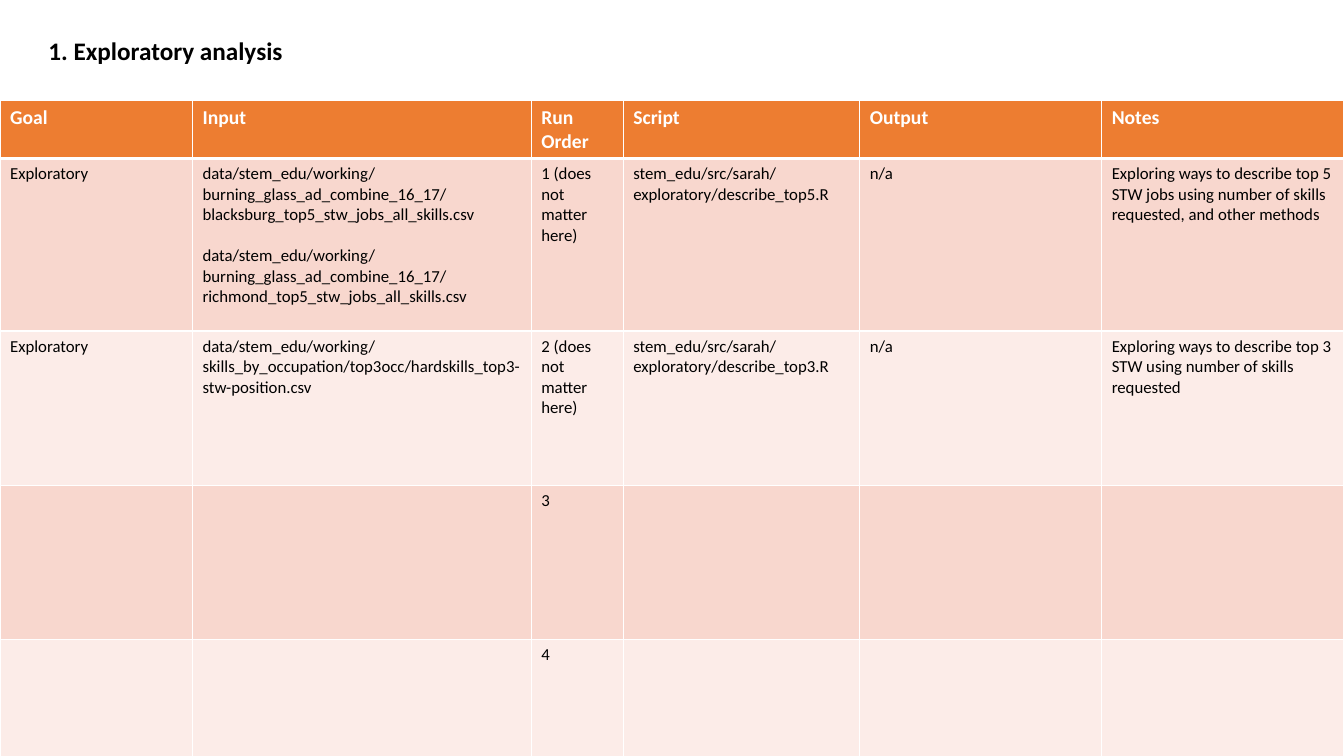
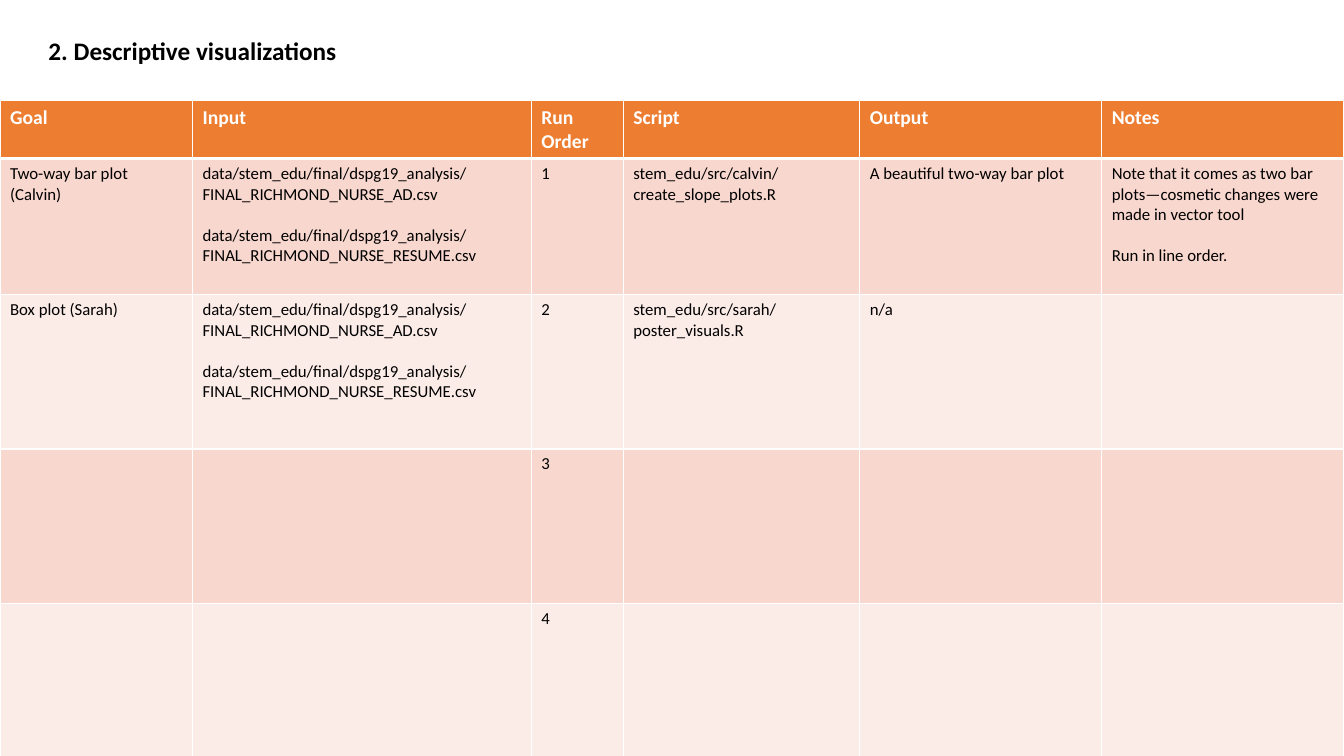
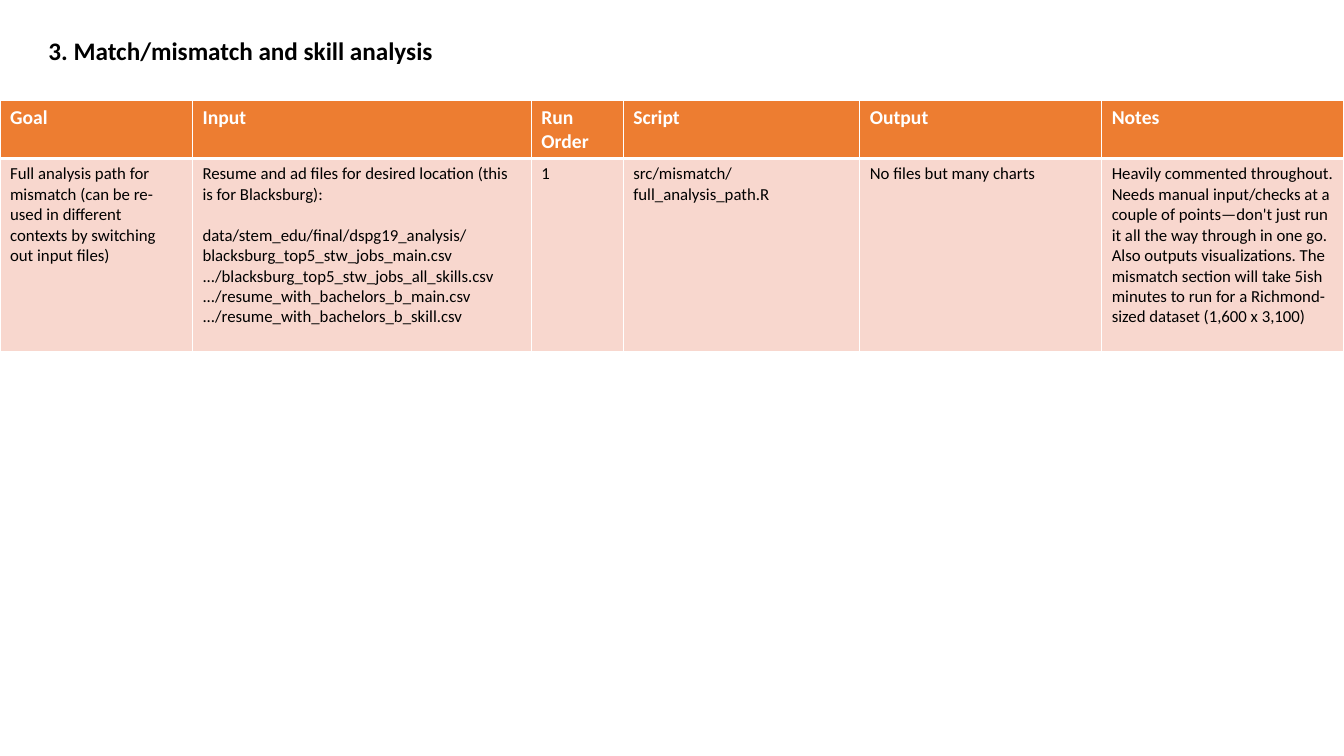
from dataclasses import dataclass

from lxml.etree import SubElement
from pptx import Presentation
from pptx.dml.color import RGBColor
from pptx.enum.text import MSO_ANCHOR, MSO_AUTO_SIZE, PP_ALIGN
from pptx.oxml.ns import qn
from pptx.util import Pt

WHITE = RGBColor(0xFF, 0xFF, 0xFF)
BLACK = RGBColor(0, 0, 0)
ORANGE = RGBColor(0xED, 0x7D, 0x31)
PEACH = RGBColor(0xF8, 0xD7, 0xCE)
PALE_PEACH = RGBColor(0xFC, 0xEC, 0xE8)
BANDS = (PEACH, PALE_PEACH)

FONT = "Calibri"
SLIDE_WIDTH, SLIDE_HEIGHT = Pt(960), Pt(540)
TABLE_TOP = Pt(72)
HEADER_HEIGHT = 40
LATER_HEIGHTS = (110.16, 110.16, 127.44)
BLOCK_GAP = Pt(14.65)
THIN, THICK = Pt(1), Pt(3)

HEADINGS = ("Goal", "Input", "Run Order", "Script", "Output", "Notes")
COLUMN_WIDTHS = (137.5, 242, 65.7, 169, 172.8, 173)

NURSE_FILES = (
    "data/stem_edu/final/dspg19_analysis/FINAL_RICHMOND_NURSE_AD.csv\n\n"
    "data/stem_edu/final/dspg19_analysis/FINAL_RICHMOND_NURSE_RESUME.csv"
)


@dataclass(frozen=True)
class Step:
    goal: str = ""
    input: str = ""
    order: str = ""
    script: str = ""
    output: str = ""
    notes: str = ""

    def texts(self) -> tuple[str, ...]:
        return (self.goal, self.input, self.order, self.script, self.output, self.notes)


@dataclass(frozen=True)
class Stage:
    title: str
    first_height: float
    steps: tuple[Step, ...]


UNUSED_STEPS = (Step(order="3"), Step(order="4"))

STAGES = (
    Stage("1. Exploratory analysis", 123.2, (
        Step(
            "Exploratory",
            "data/stem_edu/working/burning_glass_ad_combine_16_17/"
            "blacksburg_top5_stw_jobs_all_skills.csv\n\n"
            "data/stem_edu/working/burning_glass_ad_combine_16_17/"
            "richmond_top5_stw_jobs_all_skills.csv",
            "1 (does not matter here)",
            "stem_edu/src/sarah/exploratory/describe_top5.R",
            "n/a",
            "Exploring ways to describe top 5 STW jobs using number of skills "
            "requested, and other methods",
        ),
        Step(
            "Exploratory",
            "data/stem_edu/working/skills_by_occupation/top3occ/"
            "hardskills_top3-stw-position.csv",
            "2 (does not matter here)",
            "stem_edu/src/sarah/exploratory/describe_top3.R",
            "n/a",
            "Exploring ways to describe top 3 STW using number of skills requested",
        ),
        *UNUSED_STEPS,
    )),
    Stage("2. Descriptive visualizations", 97.2, (
        Step(
            "Two-way bar plot (Calvin)",
            NURSE_FILES,
            "1",
            "stem_edu/src/calvin/create_slope_plots.R",
            "A beautiful two-way bar plot",
            "Note that it comes as two bar plots—cosmetic changes were made in "
            "vector tool\n\nRun in line order.",
        ),
        Step(
            "Box plot (Sarah)",
            NURSE_FILES,
            "2",
            "stem_edu/src/sarah/poster_visuals.R",
            "n/a",
        ),
        *UNUSED_STEPS,
    )),
    Stage("3. Match/mismatch and skill analysis", 137.6, (
        Step(
            "Full analysis path for mismatch (can be re-used in different contexts "
            "by switching out input files)",
            "Resume and ad files for desired location (this is for Blacksburg):\n\n"
            "data/stem_edu/final/dspg19_analysis/blacksburg_top5_stw_jobs_main.csv\n"
            ".../blacksburg_top5_stw_jobs_all_skills.csv\n"
            ".../resume_with_bachelors_b_main.csv\n"
            ".../resume_with_bachelors_b_skill.csv",
            "1",
            "src/mismatch/full_analysis_path.R",
            "No files but many charts",
            "Heavily commented throughout. Needs manual input/checks at a couple of "
            "points—don't just run it all the way through in one go. Also outputs "
            "visualizations. The mismatch section will take 5ish minutes to run for "
            "a Richmond-sized dataset (1,600 x 3,100)",
        ),
    )),
)


def style_font(font, size: float, color: RGBColor, bold: bool) -> None:
    font.name = FONT
    font.size = Pt(size)
    font.bold = bold
    font.color.rgb = color


def set_borders(cell, top: int, bottom: int) -> None:
    properties = cell._tc.get_or_add_tcPr()
    edges = (("a:lnL", THIN), ("a:lnR", THIN), ("a:lnT", top), ("a:lnB", bottom))
    for position, (tag, width) in enumerate(edges):
        line = SubElement(properties, qn(tag), w=str(int(width)))
        SubElement(SubElement(line, qn("a:solidFill")), qn("a:srgbClr"), val=str(WHITE))
        properties.insert(position, line)


def write_cell(cell, text: str, size: float, color: RGBColor, bold: bool) -> None:
    blocks = [block.split("\n") for block in text.split("\n\n")]
    cell.text_frame.text = "\n".join(line for block in blocks for line in block)
    paragraphs = cell.text_frame.paragraphs
    for paragraph in paragraphs:
        style_font(paragraph.font, size, color, bold)
        for run in paragraph.runs:
            style_font(run.font, size, color, bold)
    start = 0
    for block in blocks[:-1]:
        start += len(block)
        paragraphs[start].space_before = BLOCK_GAP


def add_title(slide, text: str) -> None:
    title = slide.shapes.title
    title.left, title.top, title.width, title.height = Pt(27.4), Pt(21.6), Pt(905.8), Pt(29)
    frame = title.text_frame
    frame.text = text
    frame.word_wrap = True
    frame.auto_size = MSO_AUTO_SIZE.NONE
    frame.vertical_anchor = MSO_ANCHOR.TOP
    paragraph = frame.paragraphs[0]
    paragraph.alignment = PP_ALIGN.LEFT
    style_font(paragraph.runs[0].font, 18, BLACK, True)


def add_steps_table(slide, stage: Stage) -> None:
    body_heights = (stage.first_height, *LATER_HEIGHTS)[:len(stage.steps)]
    heights = (HEADER_HEIGHT, *body_heights)
    table = slide.shapes.add_table(
        len(heights), len(HEADINGS), 0, TABLE_TOP, SLIDE_WIDTH, Pt(sum(heights))
    ).table
    table.horz_banding = False
    for column, width in zip(table.columns, COLUMN_WIDTHS):
        column.width = Pt(width)
    rows = (HEADINGS, *(step.texts() for step in stage.steps))
    for index, (row, height, texts) in enumerate(zip(table.rows, heights, rows)):
        row.height = Pt(height)
        is_header = index == 0
        for cell, text in zip(row.cells, texts):
            cell.fill.solid()
            cell.fill.fore_color.rgb = ORANGE if is_header else BANDS[(index - 1) % 2]
            set_borders(cell, THICK if index == 1 else THIN, THICK if is_header else THIN)
            if is_header:
                write_cell(cell, text, 14, WHITE, True)
            else:
                write_cell(cell, text, 12, BLACK, False)


def main() -> None:
    deck = Presentation()
    deck.slide_width, deck.slide_height = SLIDE_WIDTH, SLIDE_HEIGHT
    title_only = deck.slide_layouts[5]
    for stage in STAGES:
        slide = deck.slides.add_slide(title_only)
        add_title(slide, stage.title)
        add_steps_table(slide, stage)
    deck.save("out.pptx")


if __name__ == "__main__":
    main()
